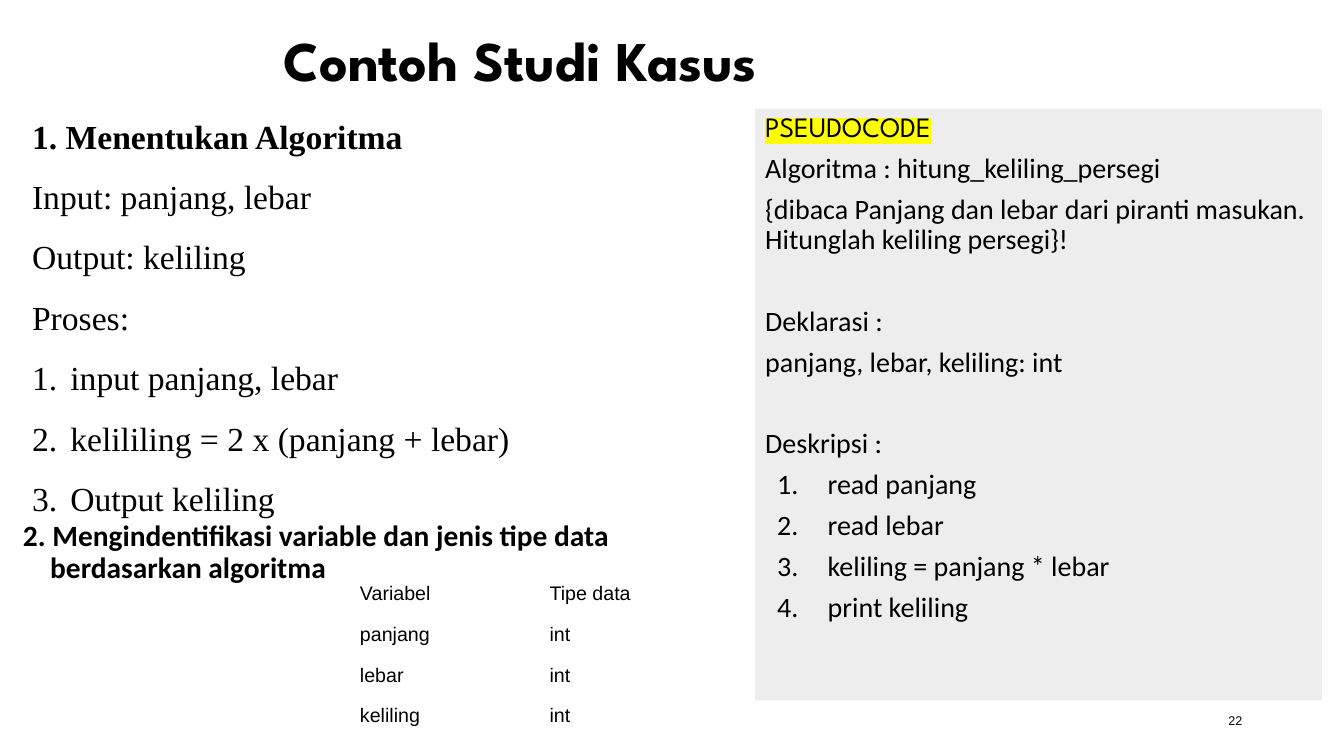
"""Build the case study slide: algorithm, variable table and pseudocode."""
from lxml import etree
from pptx import Presentation
from pptx.dml.color import RGBColor
from pptx.enum import shapes, text
from pptx.oxml import ns
from pptx.util import Inches, Pt

HUES = {"ink": "000000", "panel": "EDEDED", "mark": "FFFF00"}
SERIF, SANS, HEAD = "Times New Roman", "Calibri", "League Spartan"


def write(para, words, size, font, bold=False, line=1.0, before=0):
    """Add one styled run to a paragraph."""
    para.line_spacing, para.space_before = line, Pt(before)
    run = para.add_run()
    run.text = words
    run.font.size, run.font.name, run.font.bold = Pt(size), font, bold
    run.font.color.rgb = RGBColor.from_string(HUES["ink"])
    return run


def indent(para, left, hang, number=False):
    """Set a hanging indent in inches, with automatic numbers if asked."""
    props = para._p.get_or_add_pPr()
    props.set("marL", str(Inches(left)))
    props.set("indent", str(-Inches(hang)))
    if number:
        etree.SubElement(props, ns.qn("a:buFont"), typeface="+mj-lt")
        etree.SubElement(props, ns.qn("a:buAutoNum"), type="arabicPeriod")


deck = Presentation()
deck.slide_width, deck.slide_height = Inches(13.33), Inches(7.5)
slide = deck.slides.add_slide(deck.slide_layouts[6])

frames = {}
for name, box, anchor in [
    ("title", (2.71, 0, 7.97, 1.25), text.MSO_ANCHOR.MIDDLE),
    ("number", (9.42, 6.95, 3, 0.4), text.MSO_ANCHOR.MIDDLE),
    ("steps", (0.22, 2.07, 6.76, 2.55), text.MSO_ANCHOR.MIDDLE),
    ("types", (0, 5.12, 6.43, 2.3), text.MSO_ANCHOR.TOP),
]:
    frame = slide.shapes.add_textbox(*map(Inches, box)).text_frame
    frame.word_wrap, frame.vertical_anchor = True, anchor
    frames[name] = frame

write(frames["title"].paragraphs[0], "Contoh Studi Kasus", 40, HEAD, True, 0.9)

number = frames["number"].paragraphs[0]
number.alignment = text.PP_ALIGN.RIGHT
write(number, "22", 9, "Arial")

steps = frames["steps"]
steps.margin_bottom = Inches(0.65)
for i, words in enumerate([
    "1. Menentukan Algoritma",
    "Input: panjang, lebar",
    "Output: keliling",
    "Proses:",
    "input panjang, lebar",
    "kelililing = 2 x (panjang + lebar)",
    "Output keliling",
]):
    para = steps.add_paragraph() if i else steps.paragraphs[0]
    write(para, words, 24, SERIF, i == 0, 1.5)
    if i > 3:
        indent(para, 0.38, 0.38, True)

types = frames["types"].paragraphs[0]
write(types, "2. Mengindentifikasi variable dan jenis tipe data berdasarkan algoritma",
      21, SANS, True, 0.9, 7.5)
indent(types, 0.4, 0.27)

rows = [("Variabel", "Tipe data"), ("panjang", "int"), ("lebar", "int"), ("keliling", "int")]
table = slide.shapes.add_table(
    len(rows), 2, Inches(3.47), Inches(5.73), Inches(3.76), Inches(1.62)).table
table.first_row = table.horz_banding = False
for r, row in enumerate(rows):
    for c, words in enumerate(row):
        cell = table.cell(r, c)
        cell.fill.background()
        write(cell.text_frame.paragraphs[0], words, 14, "Arial")

panel = slide.shapes.add_shape(
    shapes.MSO_SHAPE.RECTANGLE, Inches(7.49), Inches(1.08), Inches(5.62), Inches(5.87))
panel.shadow.inherit = False
panel.fill.solid()
panel.fill.fore_color.rgb = RGBColor.from_string(HUES["panel"])
panel.line.fill.background()
code = panel.text_frame
code.word_wrap, code.vertical_anchor = True, text.MSO_ANCHOR.TOP
for i, (words, before) in enumerate([
    ("PSEUDOCODE", 7.5),
    ("Algoritma : hitung_keliling_persegi", 7.5),
    ("{dibaca Panjang dan lebar dari piranti masukan. Hitunglah keliling persegi}!", 7.5),
    ("Deklarasi :", 36.8),
    ("panjang, lebar, keliling: int", 7.5),
    ("Deskripsi :", 36.8),
    ("read panjang", 7.5),
    ("read lebar", 7.5),
    ("keliling = panjang * lebar", 7.5),
    ("print keliling", 7.5),
]):
    para = code.add_paragraph() if i else code.paragraphs[0]
    para.alignment = text.PP_ALIGN.LEFT
    run = write(para, words, 20, SANS if i else HEAD, False, 0.9, before)
    if i == 0:
        mark = etree.Element(ns.qn("a:highlight"))
        etree.SubElement(mark, ns.qn("a:srgbClr"), val=HUES["mark"])
        run._r.rPr.find(ns.qn("a:solidFill")).addnext(mark)
    if i > 5:
        indent(para, 0.62, 0.5, True)

deck.save("out.pptx")
